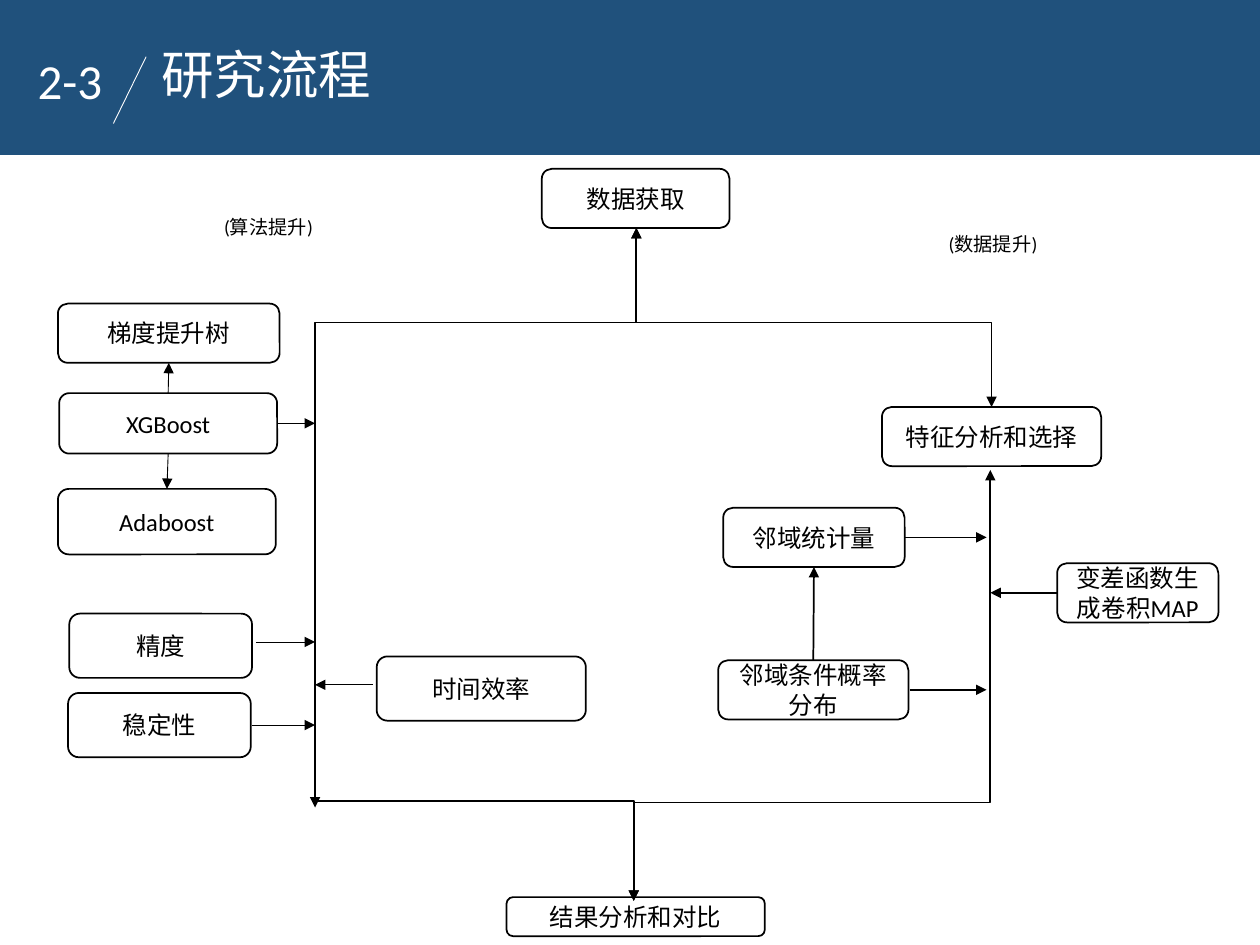
from dataclasses import dataclass
from pptx import Presentation
from pptx.dml.color import RGBColor
from pptx.enum.shapes import MSO_CONNECTOR as Conn, MSO_SHAPE as Shape
from pptx.enum.text import MSO_ANCHOR as Anchor, MSO_AUTO_SIZE as Fit, PP_ALIGN as Align
from pptx.oxml.ns import qn
from pptx.util import Inches, Pt
from lxml.etree import SubElement as Sub

NAVY = RGBColor(0x20, 0x51, 0x7C)
WHITE = RGBColor(0xFF, 0xFF, 0xFF)
BLACK = RGBColor(0, 0, 0)
THIN, BOLD = 0.5, 1
BOTH, LAST = ("headEnd", "tailEnd"), ("tailEnd",)


@dataclass
class Side:
    """Parts of one side: steps, climbs between steps, joins to the spine."""
    label: str
    spot: tuple
    steps: dict
    climbs: list
    joins: dict
    spine: float
    rest: float
    width: float


MODELS = Side(
    label="(算法提升)",
    spot=(1.28, 0.06),
    steps={
        "梯度提升树": (0.06, 0.81, 1.76, 0.47),
        "XGBoost": (0.07, 1.52, 1.73, 0.48),
        "Adaboost": (0.06, 2.28, 1.73, 0.52),
        "精度": (0.15, 3.27, 1.45, 0.51),
        "稳定性": (0.14, 3.9, 1.45, 0.51),
        "时间效率": (2.59, 3.61, 1.66, 0.51),
    },
    climbs=[("XGBoost", "梯度提升树"), ("XGBoost", "Adaboost")],
    joins={"XGBoost": (0, 0), "精度": (0.03, -0.03), "稳定性": (0.01, 0), "时间效率": (0.03, -0.03)},
    spine=2.1, rest=0, width=THIN,
)
TRAITS = Side(
    label="(数据提升)",
    spot=(1.73, 0.09),
    steps={
        "特征分析和选择": (1.3, 1.53, 1.74, 0.47),
        "邻域统计量": (0.04, 2.33, 1.44, 0.47),
        "邻域条件概率分布": (0, 3.54, 1.51, 0.47),
        "变差函数生成卷积MAP": (2.69, 2.77, 1.28, 0.47),
    },
    climbs=[("邻域条件概率分布", "邻域统计量")],
    joins={"邻域统计量": (0, 0), "邻域条件概率分布": (0.01, 0), "变差函数生成卷积MAP": (0, 0)},
    spine=2.16, rest=0.03, width=BOLD,
)


def inches(vals):
    """Turn plain numbers into lengths."""
    return [Inches(v) for v in vals]


def write(shape, text, size, color, align=Align.LEFT, font="Calibri"):
    """Put one styled paragraph into a shape."""
    frame = shape.text_frame
    frame.word_wrap = True
    frame.text = text
    para = frame.paragraphs[0]
    para.alignment = align
    para.font.name = font
    para.font.size = Pt(size)
    para.font.color.rgb = color
    return para


def add_block(slide, kind, box, fill):
    """Add a flat filled shape without outline."""
    shape = slide.shapes.add_shape(kind, *inches(box))
    shape.shadow.inherit = False
    shape.fill.solid()
    shape.fill.fore_color.rgb = fill
    shape.line.fill.background()
    return shape


def add_step(slide, text, box):
    """Add a rounded step of the flow."""
    step = add_block(slide, Shape.ROUNDED_RECTANGLE, box, WHITE)
    step.line.color.rgb = BLACK
    step.line.width = Pt(BOLD)
    step.text_frame.vertical_anchor = Anchor.MIDDLE
    write(step, text, 14, BLACK, Align.CENTER)


def add_label(slide, text, box):
    """Add a small caption."""
    label = add_block(slide, Shape.RECTANGLE, box, WHITE)
    label.text_frame.vertical_anchor = Anchor.TOP
    write(label, text, 11, BLACK)


def add_link(slide, start, end, width=BOLD, color=BLACK, kind=Conn.STRAIGHT, tips=LAST):
    """Add a connector with arrowheads at the named tips."""
    link = slide.shapes.add_connector(kind, *inches(start + end))
    link.line.color.rgb = color
    link.line.width = Pt(width)
    props = link.element.spPr
    for tip in tips:
        Sub(props.find(qn("a:ln")), qn("a:" + tip), type="triangle")
    Sub(props, qn("a:effectLst"))
    return link


def add_elbow(slide, start, end, bend):
    """Join two points by a down-across-down elbow that crosses at height bend."""
    (x1, y1), (x2, y2) = start, end
    mid_x, mid_y = (x1 + x2) / 2, (y1 + y2) / 2
    half_w, half_h = (x1 - x2) / 2, (y1 - y2) / 2
    link = add_link(slide, (mid_x + half_h, mid_y - half_w), (mid_x - half_h, mid_y + half_w),
                    kind=Conn.ELBOW, tips=BOTH)
    link.rotation = 90
    guides = link.element.spPr.find(qn("a:prstGeom")).find(qn("a:avLst"))
    share = round((bend - y1) / (y2 - y1) * 100000)
    Sub(guides, qn("a:gd"), name="adj1", fmla=f"val {share}")


def add_corner(slide, start, end):
    """Join two points by one across-then-down corner."""
    link = add_link(slide, start, end, kind=Conn.ELBOW)
    link.element.spPr.find(qn("a:prstGeom")).set("prst", "bentConnector2")


def add_climb(slide, low, high, width):
    """Link the facing edges of two stacked steps."""
    ends = []
    for (left, top, wide, tall), other in ((low, high), (high, low)):
        edge = top if top > other[1] else top + tall
        ends.append((left + wide / 2, edge))
    add_link(slide, *ends, width)


def add_join(slide, box, side, spine, gap, shift):
    """Link a step to the spine from whichever side it stands on."""
    left, top, wide, tall = box
    y = top + tall / 2 + shift
    if left < spine:
        start, tip = left + wide + gap, spine - side.rest
    else:
        start, tip = left - gap, spine
    add_link(slide, (start, y), (tip, y), side.width)


def add_side(slide, side, box):
    """Draw one side of the flow in its box."""
    x, y = box[:2]
    add_label(slide, side.label, (x + side.spot[0], y + side.spot[1], 1.05, 0.29))
    steps = {name: (x + left, y + top, wide, tall)
             for name, (left, top, wide, tall) in side.steps.items()}
    for name, place in steps.items():
        add_step(slide, name, place)
    for low, high in side.climbs:
        add_climb(slide, steps[low], steps[high], side.width)
    for name, (gap, shift) in side.joins.items():
        add_join(slide, steps[name], side, x + side.spine, gap, shift)


def add_frame(slide, box):
    """Draw the first and last steps and the elbows that join the sides."""
    x, y, wide, tall = box
    right, center = x + wide, x + 2.55
    first, last = (center, y + 0.47), (center - 0.02, y + tall - 0.28)
    upper, lower = y + 1.22, y + 5.03
    add_step(slide, "数据获取", (x + 1.8, y, 1.49, 0.47))
    add_step(slide, "结果分析和对比", (x + 1.52, y + tall - 0.31, 2.05, 0.31))
    add_elbow(slide, (x, y + 5.07), first, upper)
    add_elbow(slide, (right, y + 1.89), first, upper)
    add_elbow(slide, (right - 0.01, y + 2.39), last, lower)
    add_corner(slide, (x, lower - 0.01), last)


def add_header(slide, box):
    """Draw the band with section number, slash and title."""
    left, top = box[:2]
    add_block(slide, Shape.RECTANGLE, box, NAVY)
    add_link(slide, (left + 1.18, top + 0.45), (left + 0.92, top + 0.98), THIN, WHITE, tips=())
    number = slide.shapes.add_textbox(*inches((left + 0.22, top + 0.35, 0.87, 0.57)))
    write(number, "2-3", 28, WHITE)
    title = slide.shapes.title
    title.element.getparent().append(title.element)
    title.left, title.top, title.width, title.height = inches((left + 1.2, top + 0.38, 3.76, 0.54))
    title.text_frame.vertical_anchor = Anchor.TOP
    title.text_frame.auto_size = Fit.NONE
    para = write(title, "研究流程", 30, WHITE, font="Noto Sans CJK SC")
    para.line_spacing = 0.8
    para.space_before = Pt(0)


deck = Presentation()
deck.slide_width, deck.slide_height = inches((10, 7.5))
page = deck.slides.add_slide(deck.slide_layouts[5])
add_header(page, (-0.02, 0, 10.02, 1.23))
add_side(page, MODELS, (0.4, 1.6))
add_side(page, TRAITS, (5.7, 1.7))
add_frame(page, (2.5, 1.34, 5.37, 6.09))
deck.save("out.pptx")
